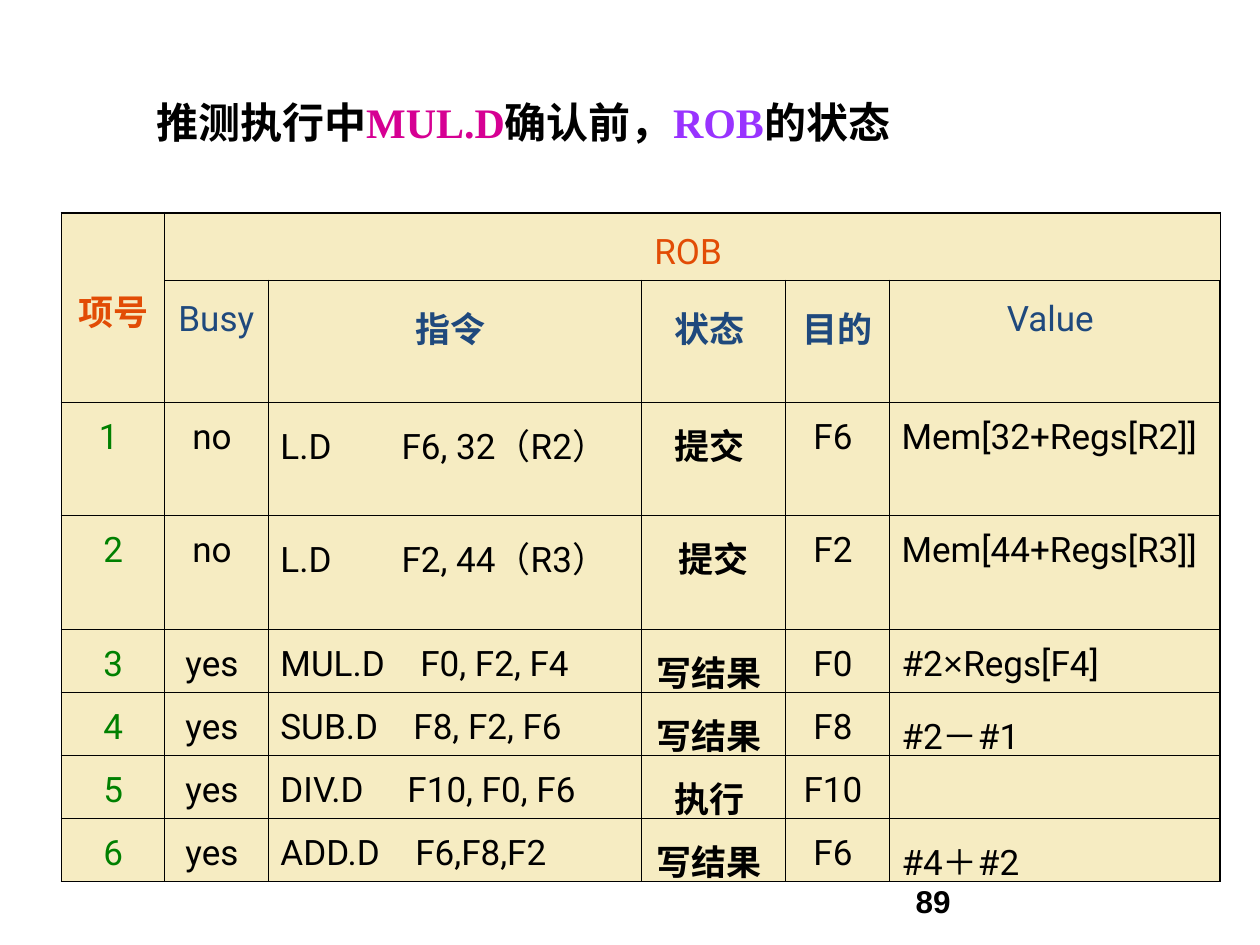
from lxml import etree
from pptx import Presentation
from pptx.dml.color import RGBColor
from pptx.enum.text import MSO_ANCHOR, PP_ALIGN
from pptx.oxml.ns import qn
from pptx.util import Cm, Pt

LEFT, CENTER = PP_ALIGN.LEFT, PP_ALIGN.CENTER
TOP, MIDDLE = MSO_ANCHOR.TOP, MSO_ANCHOR.MIDDLE
COLORS = {
    "ink": "000000", "cream": "F6ECC2", "orange": "E24C05", "navy": "1F497D",
    "green": "008000", "magenta": "D60093", "violet": "9933FF",
}
BODY, CHINESE, SERIF, SANS = "Roboto", "Noto Sans CJK SC", "Times New Roman", "Arial"
COLUMN_WIDTHS = [2.08, 2.08, 7.52, 2.92, 2.08, 6.68]
ROW_HEIGHTS = [1.35, 2.46] + [2.29] * 2 + [1.27] * 4
HEADINGS = [("Busy ", False), ("指令 ", True), ("状态 ", True), ("目的 ", True), ("Value ", False)]
ENTRIES = [
    ("1 ", "no ", "L.D\tF6, 32（R2）", 2.44, "提交 ", "F6 ", ["Mem[32+Regs[R2]]"]),
    ("2", "no ", "L.D\tF2, 44（R3）", 2.44, "提交", "F2 ", ["Mem[44+Regs[R3]]"]),
    ("3", "yes ", "MUL.D\tF0, F2, F4", 2.82, "写结果 ", "F0 ", ["#2", "×", "Regs[F4]"]),
    ("4", "yes ", "SUB.D\tF8, F2, F6", 2.68, "写结果 ", "F8 ", ["#2－#1"]),
    ("5", "yes ", "DIV.D\tF10, F0, F6", 2.56, "执行 ", "F10 ", []),
    ("6", "yes ", "ADD.D\tF6,F8,F2", 2.72, "写结果 ", "F6 ", ["#4＋#2"]),
]


class SlideBuilder:
    def __init__(self, slide, size=20):
        self.slide = slide
        self.size = size

    def span(self, para, text, color="ink", font=BODY, bold=False, size=None):
        span = para.add_run()
        span.text = text
        span.font.size = Pt(size or self.size)
        span.font.name = font
        span.font.bold = bold
        span.font.color.rgb = RGBColor.from_string(COLORS[color])
        east_asian = etree.SubElement(span._r.get_or_add_rPr(), qn("a:ea"))
        east_asian.set("typeface", CHINESE)

    def text(self, left, top, width, height, spans, size, anchor=TOP):
        box = self.slide.shapes.add_textbox(Cm(left), Cm(top), Cm(width), Cm(height))
        frame = box.text_frame
        frame.word_wrap = True
        frame.vertical_anchor = anchor
        for text, color, font in spans:
            self.span(frame.paragraphs[0], text, color, font, True, size)

    def table(self, left, top, widths, heights):
        frame = self.slide.shapes.add_table(
            len(heights), len(widths), Cm(left), Cm(top), Cm(sum(widths)), Cm(sum(heights)))
        table = frame.table
        table.first_row = table.horz_banding = False
        for column, width in zip(table.columns, widths):
            column.width = Cm(width)
        for row, height in zip(table.rows, heights):
            row.height = Cm(height)
        last_row, last_column = len(heights) - 1, len(widths) - 1
        for row in range(len(heights)):
            for column in range(len(widths)):
                cell = table.cell(row, column)
                outer = {"L": column == 0, "R": column == last_column,
                         "T": row == 0, "B": row == last_row}
                for side, is_outer in outer.items():
                    self.border(cell, side, 1.08 if is_outer else 0.45)
                cell.fill.solid()
                cell.fill.fore_color.rgb = RGBColor.from_string(COLORS["cream"])
        return table

    def border(self, cell, side, width):
        properties = cell._tc.get_or_add_tcPr()
        line = etree.SubElement(properties, qn(f"a:ln{side}"), w=str(Pt(width)))
        fill = etree.SubElement(line, qn("a:solidFill"))
        etree.SubElement(fill, qn("a:srgbClr"), val=COLORS["ink"])

    def cell(self, cell, texts, color="ink", font=BODY, bold=False,
             align=CENTER, spacing=1.2, tab=None):
        para = cell.text_frame.paragraphs[0]
        if tab:
            cell.margin_right = Cm(0.5)
            tabs = etree.SubElement(para._p.get_or_add_pPr(), qn("a:tabLst"))
            etree.SubElement(tabs, qn("a:tab"), pos=str(Cm(tab)), algn="l")
        para.alignment = align
        para.line_spacing = spacing
        if not texts:
            para.font.size = Pt(self.size)
        for text in texts:
            self.span(para, text, color, SANS if text == "×" else font, bold)


def main():
    deck = Presentation()
    deck.slide_width, deck.slide_height = Cm(25.4), Cm(19.05)
    page = SlideBuilder(deck.slides.add_slide(deck.slide_layouts[6]))

    page.text(18.21, 17.65, 5.92, 1.02, [("89", "ink", SANS)], 18, MIDDLE)

    table = page.table(1.24, 4.29, COLUMN_WIDTHS, ROW_HEIGHTS)
    table.cell(0, 0).merge(table.cell(1, 0))
    table.cell(0, 1).merge(table.cell(0, 5))
    page.cell(table.cell(0, 0), ["项号 "], "orange", bold=True, spacing=2.3)
    page.cell(table.cell(0, 1), ["ROB "], "orange", spacing=1.3)
    for column, (heading, bold) in enumerate(HEADINGS, 1):
        page.cell(table.cell(1, column), [heading], "navy", bold=bold, spacing=1.3)
    for row, entry in enumerate(ENTRIES, 2):
        number, busy, instruction, tab, state, target, value = entry
        page.cell(table.cell(row, 0), [number], "green")
        page.cell(table.cell(row, 1), [busy])
        page.cell(table.cell(row, 2), [instruction], align=LEFT, tab=tab)
        page.cell(table.cell(row, 3), [state], font=CHINESE, bold=True)
        page.cell(table.cell(row, 4), [target])
        page.cell(table.cell(row, 5), value, align=LEFT)

    page.text(2.9, 1.83, 20.12, 1.48, [
        ("推测执行中", "ink", CHINESE),
        ("MUL.D", "magenta", SERIF),
        ("确认前，", "ink", CHINESE),
        ("ROB", "violet", SERIF),
        ("的状态", "ink", CHINESE),
    ], 24)
    deck.save("out.pptx")


if __name__ == "__main__":
    main()
